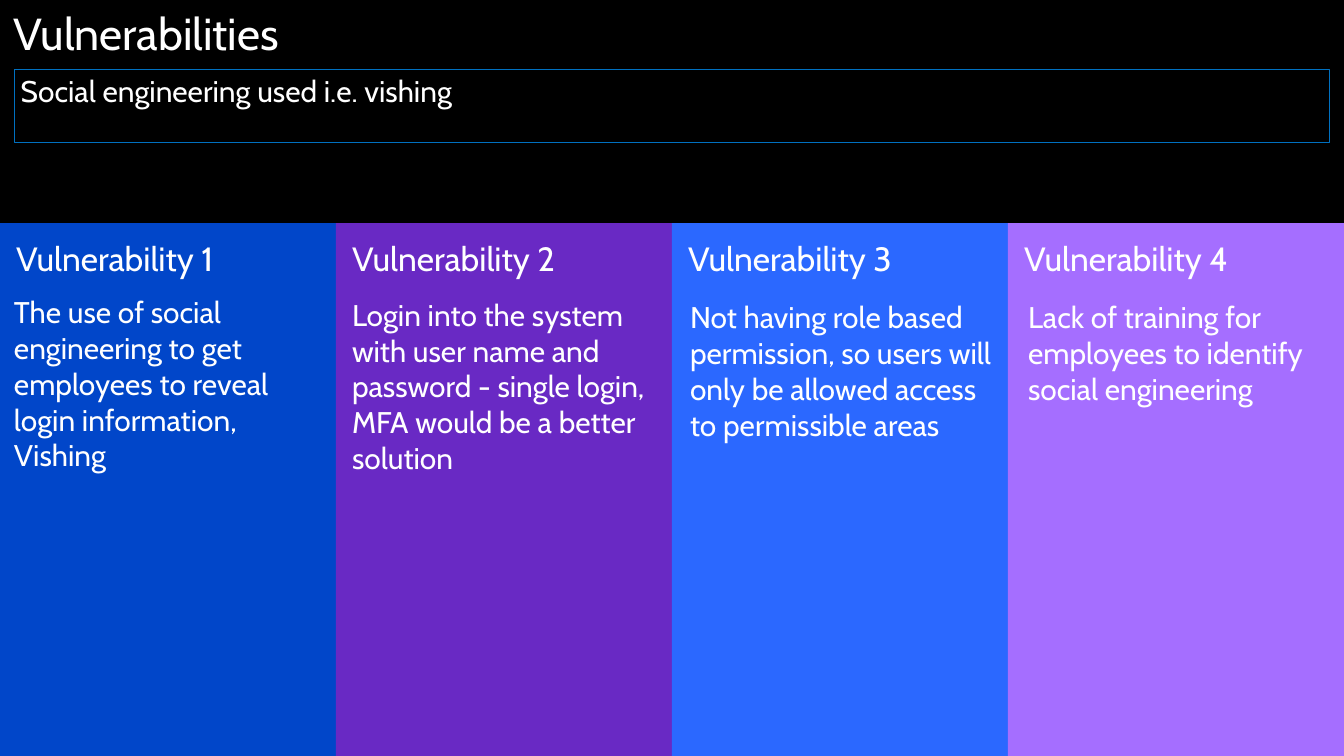
from pptx import Presentation
from pptx import util as u
from pptx.dml.color import RGBColor
from pptx.enum import shapes, text

TITLE = "Vulnerabilities"
SUMMARY = "Social engineering used i.e. vishing"
# heading, column colour, description, top of the description
COLUMNS = [
    ("Vulnerability 1", "0146C9",
     "The use of social engineering to get employees to reveal login information, Vishing",
     4.32),
    ("Vulnerability 2", "6929C4",
     "Login into the system with user name and password - single login, "
     "MFA would be a better solution", 4.36),
    ("Vulnerability 3", "2B68FF",
     "Not having role based permission, so users will only be allowed access "
     "to permissible areas", 4.4),
    ("Vulnerability 4", "A56EFF",
     "Lack of training for employees to identify social engineering", 4.4),
]

THEME = {
    "font": "Cabin", "text": "FFFFFF", "background": "000000", "border": "0070C0",
    "title": 48, "heading": 36, "body": 32,
}
WIDTH, HEIGHT = 20, 11.25
COLUMN_TOP = 3.32
COLUMN_WIDTH = WIDTH / len(COLUMNS)
BODY_LEFT, BODY_PITCH, BODY_WIDTH, BODY_HEIGHT = 0.11, 5.03, 4.7, 2.79
TITLE_INSETS = (0.2, 0.18, 0.25, 0.25)
HEADING_INSETS = (0.24, 0.22, 0.25, 0.25)
BODY_INSETS = (0.1, 0.05, 0.1, 0.05)


def colour(name):
    return RGBColor.from_string(THEME.get(name, name))


def write(box, words, size, insets=BODY_INSETS, spacing=None):
    frame = box.text_frame
    sides = ("margin_left", "margin_top", "margin_right", "margin_bottom")
    layout = dict(zip(sides, map(u.Inches, insets)),
                  word_wrap=True, vertical_anchor=text.MSO_ANCHOR.TOP)
    for name, value in layout.items():
        setattr(frame, name, value)
    para = frame.paragraphs[0]
    para.alignment = text.PP_ALIGN.LEFT
    para.line_spacing = spacing
    span = para.add_run()
    span.text = words
    for name, value in {"name": THEME["font"], "size": u.Pt(THEME[size])}.items():
        setattr(span.font, name, value)
    span.font.color.rgb = colour("text")


def add_text(page, place, words, size, **options):
    box = page.shapes.add_textbox(*map(u.Inches, place))
    write(box, words, size, **options)


def add_panel(page, place, words, size, fill=None, border=None, **options):
    panel = page.shapes.add_shape(shapes.MSO_SHAPE.RECTANGLE, *map(u.Inches, place))
    panel.shadow.inherit = False
    for part, tint in ((panel.fill, fill), (panel.line.fill, border)):
        if tint:
            part.solid()
            part.fore_color.rgb = colour(tint)
        else:
            part.background()
    if border:
        panel.line.width = u.Pt(0.75)
    write(panel, words, size, **options)


def main():
    deck = Presentation()
    deck.slide_width, deck.slide_height = u.Inches(WIDTH), u.Inches(HEIGHT)
    page = deck.slides.add_slide(deck.slide_layouts[6])
    page.background.fill.solid()
    page.background.fill.fore_color.rgb = colour("background")

    add_text(page, (0, 0, WIDTH, 3.11), TITLE, "title",
             insets=TITLE_INSETS, spacing=0.9)
    for index, (heading, fill, _, _) in enumerate(COLUMNS):
        place = (index * COLUMN_WIDTH, COLUMN_TOP, COLUMN_WIDTH, HEIGHT - COLUMN_TOP)
        add_panel(page, place, heading, "heading", fill=fill, insets=HEADING_INSETS)
    add_panel(page, (0.21, 1.03, 19.57, 1.09), SUMMARY, "body", border="border")
    for index, (_, _, description, top) in enumerate(COLUMNS):
        place = (BODY_LEFT + index * BODY_PITCH, top, BODY_WIDTH, BODY_HEIGHT)
        add_text(page, place, description, "body")

    deck.save("out.pptx")


if __name__ == "__main__":
    main()
